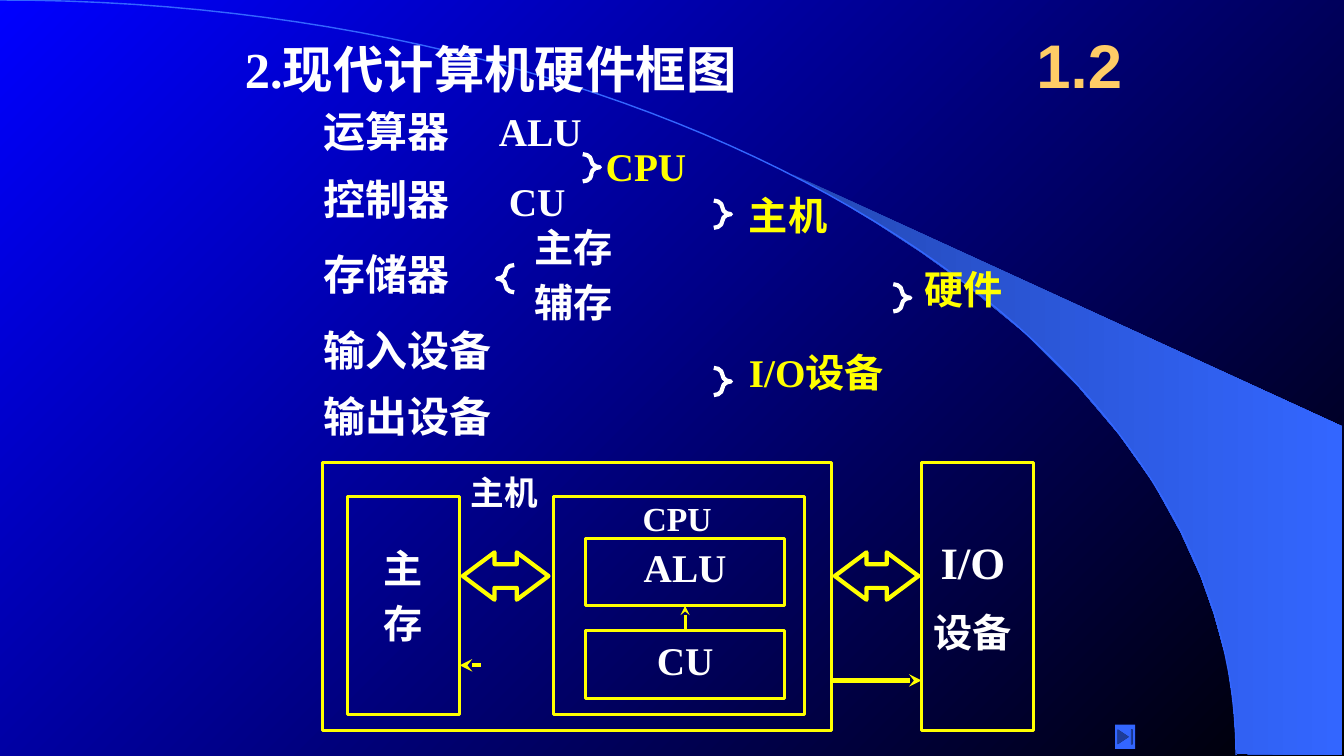
from dataclasses import dataclass

from lxml import etree
from pptx import Presentation
from pptx.dml.color import RGBColor
from pptx.enum.shapes import MSO_CONNECTOR, MSO_SHAPE
from pptx.enum.text import MSO_ANCHOR, PP_ALIGN
from pptx.oxml.ns import qn
from pptx.util import Inches, Pt

LEFT, CENTER = PP_ALIGN.LEFT, PP_ALIGN.CENTER
TOP, MIDDLE = MSO_ANCHOR.TOP, MSO_ANCHOR.MIDDLE
RECTANGLE = MSO_SHAPE.RECTANGLE
LEFT_BRACE, RIGHT_BRACE = MSO_SHAPE.LEFT_BRACE, MSO_SHAPE.RIGHT_BRACE
DOUBLE_ARROW = MSO_SHAPE.LEFT_RIGHT_ARROW
END_BUTTON = MSO_SHAPE.ACTION_BUTTON_END
STRAIGHT = MSO_CONNECTOR.STRAIGHT


@dataclass(frozen=True)
class Theme:
    white = RGBColor(0xFF, 0xFF, 0xFF)
    yellow = RGBColor(0xFF, 0xFF, 0x00)
    gold = RGBColor(0xFF, 0xCC, 0x66)
    blue = RGBColor(0x33, 0x66, 0xFF)
    dark_blue = RGBColor(0x24, 0x49, 0xB6)
    back_start = RGBColor(0x00, 0x00, 0xFF)
    back_end = RGBColor(0x00, 0x00, 0x00)
    serif, sans, chinese = "Times New Roman", "Arial", "Noto Sans CJK SC"
    section, title, device, row, body, label = 44, 36, 32, 30, 28, 24
    outline, heavy = Pt(2.13), Pt(3)


theme = Theme()


def write_text(shape, text, size, color=theme.white, align=LEFT, anchor=TOP,
               inset=0.1, latin=theme.serif, gap=0):
    frame = shape.text_frame
    frame.text = text
    frame.word_wrap = True
    frame.vertical_anchor = anchor
    frame.margin_left = frame.margin_right = Inches(inset)
    frame.margin_top = frame.margin_bottom = Inches(inset / 2)
    for index, paragraph in enumerate(frame.paragraphs):
        paragraph.alignment = align
        paragraph.space_before = Pt(gap if index else 0)
        for run in paragraph.runs:
            run.font.size = Pt(size)
            run.font.bold = True
            run.font.color.rgb = color
            run.font.name = latin
            east_asian = etree.Element(qn("a:ea"), typeface=theme.chinese)
            run.font._element.find(qn("a:latin")).addnext(east_asian)


def add_outline(kind, left, top, width, height, color, weight):
    shape = slide.shapes.add_shape(
        kind, Inches(left), Inches(top), Inches(width), Inches(height))
    shape.shadow.inherit = False
    shape.fill.background()
    shape.line.color.rgb = color
    shape.line.width = weight
    return shape


presentation = Presentation()
presentation.slide_width = Inches(13.33)
presentation.slide_height = Inches(7.5)
slide = presentation.slides.add_slide(presentation.slide_layouts[5])

# Background gradient
background = slide.background.fill
background.gradient()
background.gradient_angle = 315
for stop, color in zip(background.gradient_stops, (theme.back_start, theme.back_end)):
    stop.color.rgb = color

# Blue wedge and the arc beside it
wedge_points = [
    (12.27, 7.48), (13.31, 7.49), (13.31, 4.23), (7.86, 1.73), (8.32, 1.99),
    (8.7, 2.22), (9.13, 2.5), (9.55, 2.8), (10.16, 3.3), (10.7, 3.84),
    (11.1, 4.31), (11.44, 4.79), (11.71, 5.28), (11.91, 5.72), (12.04, 6.09),
    (12.17, 6.56), (12.23, 6.96)]
arc_points = []
for step in range(61):
    t = step / 60
    u = 1 - t
    arc_points.append((3 * u * u * t * 6.77 + (3 * u * t * t + t ** 3) * 12.26,
                       3 * u * t * t * 3.35 + t ** 3 * 7.49))

curves = []
for points, closed in ((wedge_points, True), (arc_points, False)):
    corners = [(Inches(x), Inches(y)) for x, y in points]
    builder = slide.shapes.build_freeform(*corners[0])
    builder.add_line_segments(corners[1:], close=closed)
    curve = builder.convert_to_shape()
    curve.shadow.inherit = False
    curves.append(curve)
wedge, arc = curves
wedge.line.fill.background()
wedge.fill.gradient()
wedge.fill.gradient_angle = 0
for stop, color in zip(wedge.fill.gradient_stops, (theme.dark_blue, theme.blue)):
    stop.color.rgb = color
arc.fill.background()
arc.line.color.rgb = theme.blue
arc.line.width = Pt(1)

# Title, in front of the arc
title = slide.shapes.title
title.left, title.top = Inches(2.33), Inches(0.33)
title.width, title.height = Inches(6.34), Inches(0.7)
write_text(title, "2.现代计算机硬件框图", theme.title)
slide.shapes._spTree.append(title._element)

# Section number
section = slide.shapes.add_textbox(Inches(10.08), Inches(0.17), Inches(1.25), Inches(0.92))
write_text(section, "1.2", theme.section, theme.gold, CENTER, MIDDLE, latin=theme.sans)

# Component names and the groups they form
component_rows = [("运算器", 1), ("控制器", 1.67), ("存储器", 2.42),
                  ("输入设备", 3.17), ("输出设备", 3.83)]
labels = [(text, 3.11, top, 2.1, theme.row, theme.white) for text, top in component_rows]
labels += [
    ("ALU", 4.85, 1.02, 1.2, theme.body, theme.white),
    ("CU", 4.95, 1.71, 1, theme.body, theme.white),
    ("主存\n辅存", 5.2, 2.17, 1.2, theme.body, theme.white),
    ("CPU", 5.91, 1.36, 1.2, theme.body, theme.yellow),
    ("主机", 7.33, 1.85, 1.2, theme.body, theme.yellow),
    ("I/O设备", 7.33, 3.41, 1.93, theme.body, theme.yellow),
    ("硬件", 9.07, 2.58, 1.2, theme.body, theme.yellow)]
for text, left, top, width, size, color in labels:
    label = slide.shapes.add_textbox(Inches(left), Inches(top), Inches(width), Inches(0.57))
    write_text(label, text, size, color, gap=5.6)

# Braces
for kind, left, top, curl, point in (
        (LEFT_BRACE, 4.93, 2.63, 0.42, 0.5), (RIGHT_BRACE, 5.78, 1.53, 0.42, 0.48),
        (RIGHT_BRACE, 7.08, 1.99, 0.54, 0.5), (RIGHT_BRACE, 8.86, 2.82, 0.79, 0.5),
        (RIGHT_BRACE, 7.08, 3.65, 0.54, 0.5)):
    brace = add_outline(kind, left, top, 0.17, 0.27, theme.white, theme.heavy)
    brace.adjustments[0] = curl
    brace.adjustments[1] = point

# Block diagram: host, memory, CPU and device frames
for left, top, width, height in ((3.2, 4.59, 5.05, 2.66), (3.45, 4.93, 1.11, 2.16),
                                 (5.49, 4.93, 2.49, 2.16), (9.14, 4.59, 1.11, 2.66)):
    add_outline(RECTANGLE, left, top, width, height, theme.yellow, theme.outline)

units = []
for text, top in (("ALU", 5.34), ("CU", 6.26)):
    unit = add_outline(RECTANGLE, 5.81, top, 1.97, 0.67, theme.yellow, theme.outline)
    write_text(unit, text, theme.body, align=CENTER)
    units.append(unit)
alu, cu = units

# Block diagram: captions
for text, left, top, width, size, inset, gap in (
        ("主机", 4.5, 4.68, 1, theme.label, 0, 0),
        ("CPU", 6.27, 4.94, 0.89, theme.label, 0, 0),
        ("主\n存", 3.7, 5.35, 0.59, theme.body, 0.1, 5.6),
        ("I/O\n设备", 9.11, 5.26, 1.08, theme.device, 0.1, 14)):
    caption = slide.shapes.add_textbox(Inches(left), Inches(top), Inches(width), Inches(0.4))
    write_text(caption, text, size, align=CENTER, inset=inset, gap=gap)
caption.text_frame.paragraphs[1].runs[0].font.size = Pt(theme.body)

# Block diagram: data arrows
for left, width in ((4.59, 0.85), (8.28, 0.83)):
    arrow = add_outline(DOUBLE_ARROW, left, 5.48, width, 0.47, theme.yellow, theme.heavy)
    arrow.adjustments[0] = 0.5
    arrow.adjustments[1] = 0.67

# Block diagram: control arrows
control_arrows = []
for x1, y1, x2, y2, weight in ((6.8, 6.26, 6.8, 6.01, Pt(2.25)),
                               (8.25, 6.75, 9.14, 6.75, theme.heavy),
                               (4.77, 6.6, 4.56, 6.6, theme.heavy)):
    connector = slide.shapes.add_connector(
        STRAIGHT, Inches(x1), Inches(y1), Inches(x2), Inches(y2))
    connector.line.color.rgb = theme.yellow
    connector.line.width = weight
    etree.SubElement(connector.line._get_or_add_ln(), qn("a:tailEnd"), type="stealth")
    etree.SubElement(connector._element.spPr, qn("a:effectLst"))
    control_arrows.append(connector)
control_arrows[0].begin_connect(cu, 0)
control_arrows[0].end_connect(alu, 2)

# Navigation button
button = add_outline(END_BUTTON, 11.06, 7.19, 0.2, 0.24, theme.blue, Pt(1))
button.fill.solid()
button.fill.fore_color.rgb = theme.blue
button.line.fill.background()

presentation.save("out.pptx")
